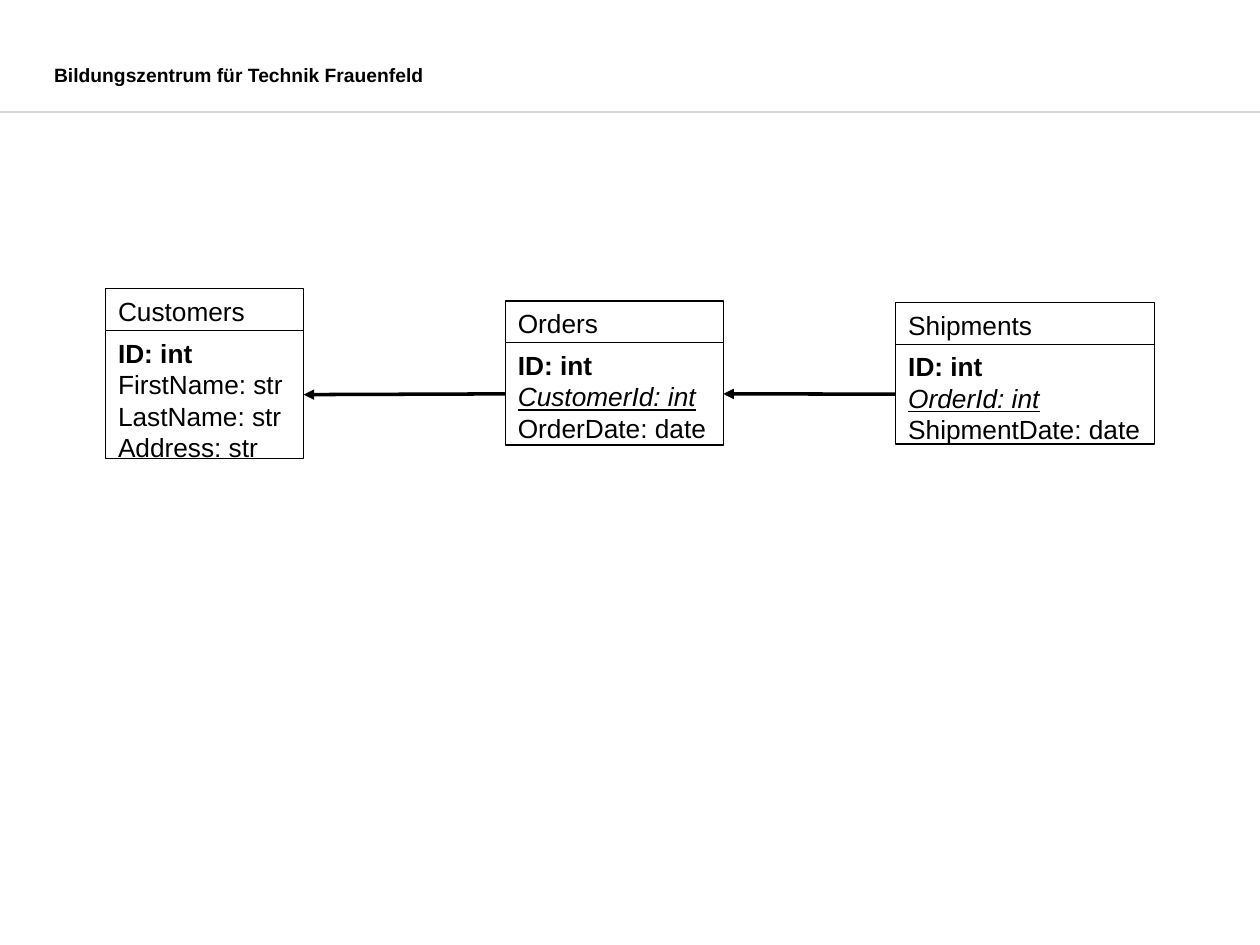
import dataclasses

import pptx
import pptx.dml.color
import pptx.enum.shapes
import pptx.enum.text
import pptx.oxml.ns
import pptx.oxml.xmlchemy
import pptx.util
from pptx.util import Cm


@dataclasses.dataclass(frozen=True)
class Theme:
    font: str = "Arial"
    ink: str = "000000"
    rule: str = "272C3D"
    rule_alpha: int = 19000
    header_size: int = 11
    header_spacing: int = 14
    entity_size: int = 15
    hairline: int = 0
    rule_width: int = 1


@dataclasses.dataclass(frozen=True)
class Box:
    left: float
    top: float
    width: float
    height: float


THEME = Theme()
TITLE_HEIGHT = 0.84
LEFT_SITE, RIGHT_SITE = 1, 3
PLAIN, PRIMARY_KEY, FOREIGN_KEY = "plain", "primary key", "foreign key"

ENTITIES = [
    ("Customers", Box(2.13, 5.82, 3.99, 3.43), [
        ("ID: int", PRIMARY_KEY),
        ("FirstName: str", PLAIN),
        ("LastName: str", PLAIN),
        ("Address: str", PLAIN),
    ]),
    ("Orders", Box(10.19, 6.07, 4.39, 2.9), [
        ("ID: int", PRIMARY_KEY),
        ("CustomerId: int", FOREIGN_KEY),
        ("OrderDate: date", PLAIN),
    ]),
    ("Shipments", Box(18.06, 6.1, 5.21, 2.85), [
        ("ID: int", PRIMARY_KEY),
        ("OrderId: int", FOREIGN_KEY),
        ("ShipmentDate: date", PLAIN),
    ]),
]


def color(value):
    return pptx.dml.color.RGBColor.from_string(value)


def add_element(parent, tag, **attributes):
    element = pptx.oxml.xmlchemy.OxmlElement(tag)
    for name, value in attributes.items():
        element.set(name, value)
    parent.append(element)


def add_run(paragraph, text, size, role=PLAIN):
    run = paragraph.add_run()
    run.text = text
    run.font.name = THEME.font
    run.font.size = pptx.util.Pt(size)
    run.font.color.rgb = color(THEME.ink)
    run.font.bold = role == PRIMARY_KEY
    run.font.italic = role == FOREIGN_KEY
    run.font.underline = role == FOREIGN_KEY
    return run


def prepare_frame(frame):
    frame.word_wrap = True
    frame.auto_size = pptx.enum.text.MSO_AUTO_SIZE.NONE
    frame.vertical_anchor = pptx.enum.text.MSO_ANCHOR.TOP
    frame.margin_left = frame.margin_right = Cm(0.25)
    frame.margin_top = frame.margin_bottom = Cm(0.13)


def style_line(line, value, width):
    line.color.rgb = color(value)
    line.width = pptx.util.Pt(width)


def add_line(slide, left, top, right, bottom, value, width):
    connector = slide.shapes.add_connector(
        pptx.enum.shapes.MSO_CONNECTOR.STRAIGHT,
        Cm(left), Cm(top), Cm(right), Cm(bottom))
    style_line(connector.line, value, width)
    add_element(connector._element.spPr, "a:effectLst")
    return connector


def add_header(slide, box):
    title = slide.shapes.title
    title.left, title.top = Cm(box.left + 0.84), Cm(box.top + 1.12)
    title.width, title.height = Cm(10.44), Cm(0.81)
    prepare_frame(title.text_frame)
    paragraph = title.text_frame.paragraphs[0]
    paragraph.alignment = pptx.enum.text.PP_ALIGN.LEFT
    paragraph.line_spacing = pptx.util.Pt(THEME.header_spacing)
    run = add_run(paragraph, "Bildungszentrum für Technik Frauenfeld", THEME.header_size)
    run.font.bold = True

    bottom = box.top + box.height
    rule = add_line(slide, box.left, bottom, box.left + box.width, bottom,
                    THEME.rule, THEME.rule_width)
    rule_color = rule._element.spPr.find(".//" + pptx.oxml.ns.qn("a:srgbClr"))
    add_element(rule_color, "a:alpha", val=str(THEME.rule_alpha))


def add_compartment(group, box, rows):
    shape = group.shapes.add_shape(
        pptx.enum.shapes.MSO_SHAPE.RECTANGLE,
        Cm(box.left), Cm(box.top), Cm(box.width), Cm(box.height))
    shape.shadow.inherit = False
    shape.fill.background()
    style_line(shape.line, THEME.ink, THEME.hairline)
    frame = shape.text_frame
    prepare_frame(frame)
    for index, (text, role) in enumerate(rows):
        paragraph = frame.add_paragraph() if index else frame.paragraphs[0]
        paragraph.alignment = pptx.enum.text.PP_ALIGN.LEFT
        add_run(paragraph, text, THEME.entity_size, role)
    return shape


def add_entity(slide, box, name, attributes):
    group = slide.shapes.add_group_shape()
    title_box = dataclasses.replace(box, height=TITLE_HEIGHT)
    body_box = dataclasses.replace(
        box, top=box.top + TITLE_HEIGHT, height=box.height - TITLE_HEIGHT)
    add_compartment(group, title_box, [(name, PLAIN)])
    return add_compartment(group, body_box, attributes)


def add_reference(slide, child, parent):
    connector = add_line(slide, 0, 0, 0, 0, THEME.ink, THEME.hairline)
    connector.begin_connect(child, LEFT_SITE)
    connector.end_connect(parent, RIGHT_SITE)
    outline = connector._element.spPr.find(pptx.oxml.ns.qn("a:ln"))
    add_element(outline, "a:tailEnd", type="triangle")


def main():
    presentation = pptx.Presentation()
    presentation.slide_width, presentation.slide_height = Cm(25.4), Cm(19.05)
    slide = presentation.slides.add_slide(presentation.slide_layouts[5])
    add_header(slide, Box(0, 0, 25.4, 2.26))
    bodies = [add_entity(slide, box, name, attributes)
              for name, box, attributes in ENTITIES]
    for parent, child in zip(bodies, bodies[1:]):
        add_reference(slide, child, parent)
    presentation.save("out.pptx")


if __name__ == "__main__":
    main()
